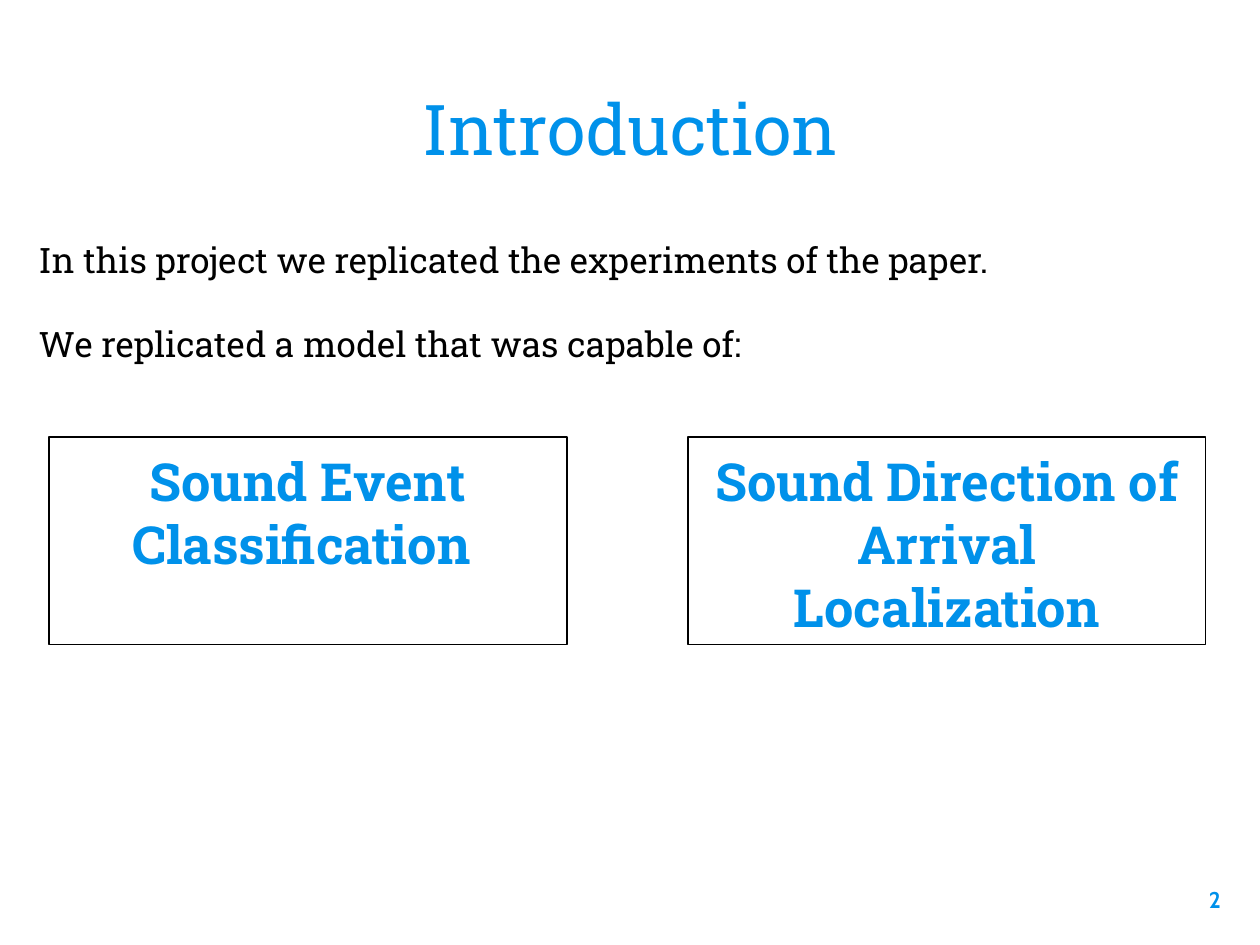
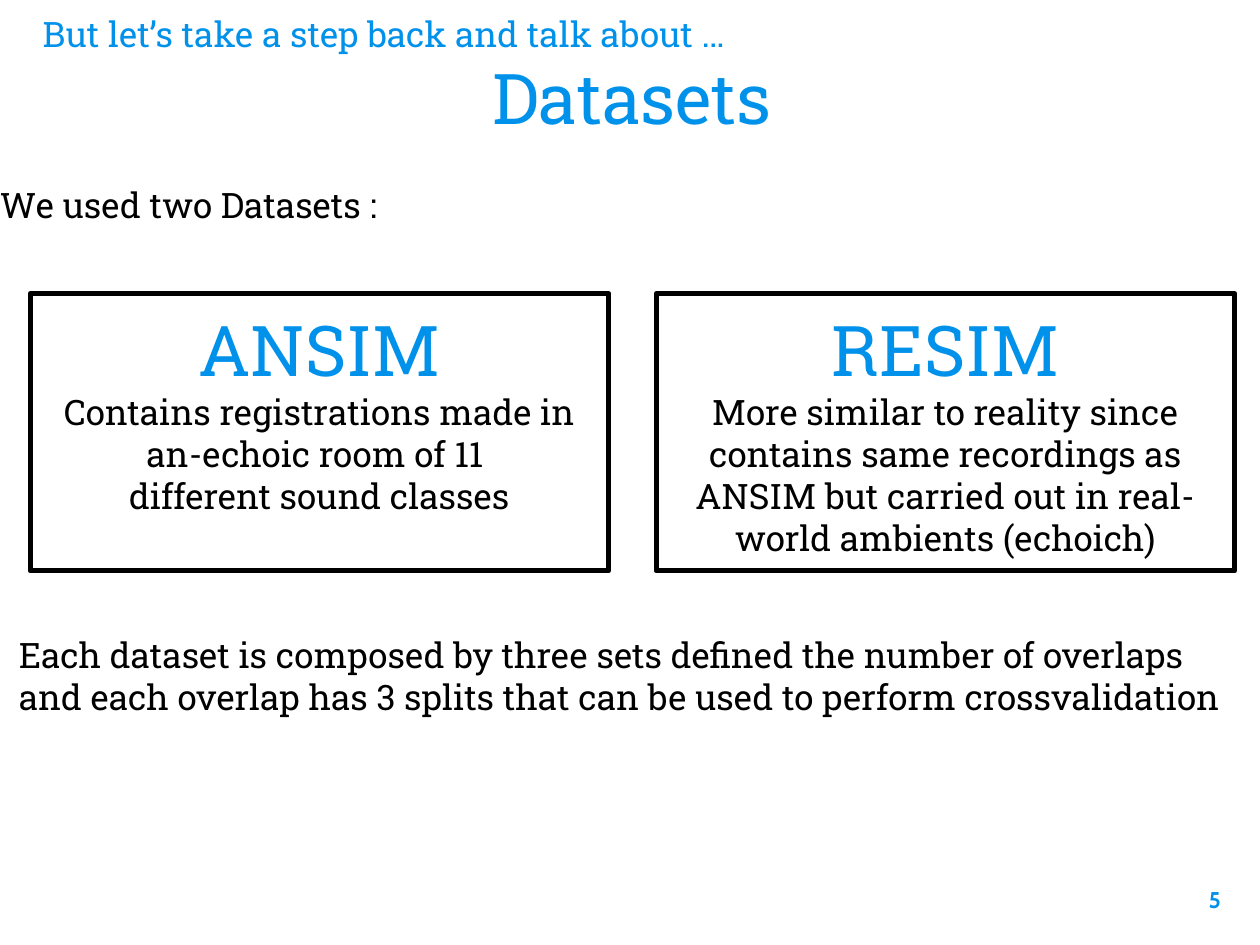
from pptx import Presentation
from pptx.dml.color import RGBColor
from pptx.enum.shapes import MSO_SHAPE
from pptx.enum.text import MSO_ANCHOR, MSO_AUTO_SIZE, PP_ALIGN
from pptx.util import Cm, Pt

BLUE = RGBColor(0x00, 0x91, 0xEA)
BLACK = RGBColor(0x00, 0x00, 0x00)
FONT = "Roboto Slab"
NUMBER_FONT = "Cabin"
INSET = 0.25
TITLE_ONLY = 5

# Paragraph styles
LEAD = dict(size=20, color=BLUE)
HEADING = dict(size=40, color=BLUE, align=PP_ALIGN.CENTER)
BODY = dict(size=20, color=BLACK)
SPACED_BODY = dict(BODY, before=24)
CARD_BODY = dict(BODY, align=PP_ALIGN.CENTER)
TASK = dict(size=30, color=BLUE, align=PP_ALIGN.CENTER, bold=True)
NUMBER = dict(size=13, color=BLUE, align=PP_ALIGN.RIGHT, bold=True, font=NUMBER_FONT)

# Content: areas are left, top, width, height in centimetres
NUMBER_AREA = (23.34, 17.6, 1.52, 1.45)
SLIDES = [
    {
        "number": "2",
        "title": ((2.51, 1.47, 20.4, 2.39), [("Introduction", HEADING)]),
        "texts": [
            ((0.53, 4.55, 20.17, 3.45), [
                ("In this project we replicated the experiments of the paper.", BODY),
                ("We replicated a model that was capable of:", SPACED_BODY),
            ]),
        ],
        "cards": {
            "first": (0.99, 8.81, 10.44, 4.19), "gap": 2.44, "line": 0.75,
            "items": [
                [("Sound Event Classification ", TASK)],
                [("Sound Direction of Arrival Localization", TASK)],
            ],
        },
    },
    {
        "number": "5",
        "title": ((0.61, 0, 24.26, 2.64), [
            ("But let’s take a step back and talk about …", LEAD),
            ("Datasets", HEADING),
        ]),
        "texts": [
            ((-0.25, 3.45, 23.9, 1.45), [("We used two Datasets :", BODY)]),
            ((0.13, 12.52, 25.17, 2.64), [
                ("Each dataset is composed by three sets defined the number of overlaps", BODY),
                ("and each overlap has 3 splits that can be used to perform crossvalidation", BODY),
            ]),
        ],
        "cards": {
            "first": (0.61, 5.92, 11.66, 5.59), "gap": 0.96, "line": 3,
            "items": [
                [
                    ("ANSIM", HEADING),
                    ("Contains registrations made in an-echoic room of 11 ", CARD_BODY),
                    ("different sound classes", CARD_BODY),
                ],
                [
                    ("RESIM", HEADING),
                    ("More similar to reality since contains same recordings as ANSIM "
                     "but carried out in real-world ambients (echoich)", CARD_BODY),
                ],
            ],
        },
    },
]


def write(shape, paragraphs):
    """Fill a shape with styled paragraphs, starting at its top."""
    frame = shape.text_frame
    frame.auto_size = MSO_AUTO_SIZE.NONE
    frame.word_wrap = True
    frame.vertical_anchor = MSO_ANCHOR.TOP
    frame.margin_left = frame.margin_right = Cm(INSET)
    frame.margin_top = frame.margin_bottom = Cm(INSET)
    for index, (text, style) in enumerate(paragraphs):
        para = frame.add_paragraph() if index else frame.paragraphs[0]
        para.text = text
        para.alignment = style.get("align", PP_ALIGN.LEFT)
        para.space_before = Pt(style.get("before", 0))
        para.font.name = style.get("font", FONT)
        para.font.size = Pt(style["size"])
        para.font.bold = style.get("bold", False)
        para.font.color.rgb = style["color"]


def add_title(page, area, paragraphs):
    title = page.shapes.title
    title.left, title.top, title.width, title.height = map(Cm, area)
    write(title, paragraphs)


def add_text(page, area, paragraphs):
    write(page.shapes.add_textbox(*map(Cm, area)), paragraphs)


def add_cards(page, cards):
    """Place outlined cards side by side with an equal gap."""
    left, top, width, height = cards["first"]
    for index, paragraphs in enumerate(cards["items"]):
        area = (left + index * (width + cards["gap"]), top, width, height)
        card = page.shapes.add_shape(MSO_SHAPE.RECTANGLE, *map(Cm, area))
        card.shadow.inherit = False
        card.fill.background()
        card.line.color.rgb = BLACK
        card.line.width = Pt(cards["line"])
        write(card, paragraphs)


def main():
    deck = Presentation()
    deck.slide_width, deck.slide_height = Cm(25.4), Cm(19.05)
    for content in SLIDES:
        page = deck.slides.add_slide(deck.slide_layouts[TITLE_ONLY])
        add_text(page, NUMBER_AREA, [(content["number"], NUMBER)])
        add_title(page, *content["title"])
        for area, paragraphs in content["texts"]:
            add_text(page, area, paragraphs)
        add_cards(page, content["cards"])
    deck.save("out.pptx")


if __name__ == "__main__":
    main()
